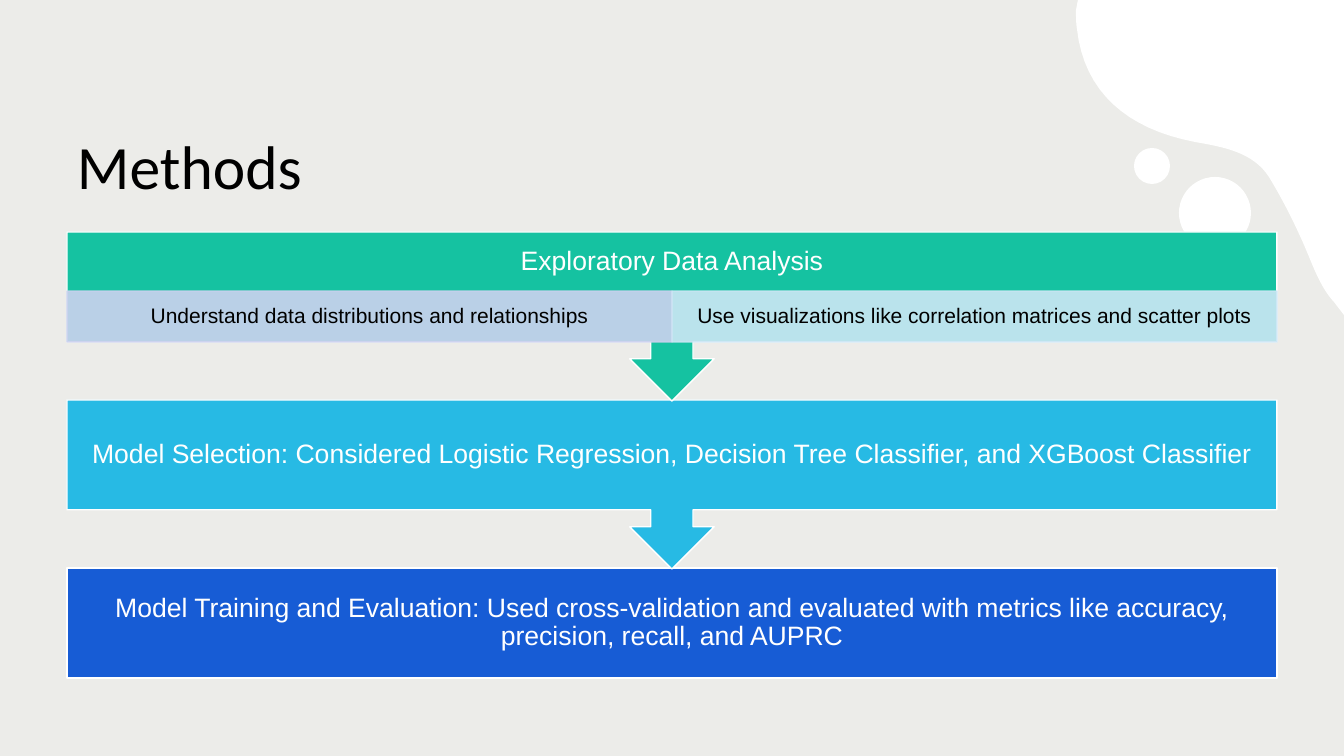
"""Build the Methods slide: three stacked process steps on a grey background."""
import pptx
import pptx.dml.color
import pptx.enum.shapes
import pptx.enum.text
import pptx.oxml.ns
import pptx.oxml.xmlchemy
import pptx.util

RGBColor = pptx.dml.color.RGBColor
MSO_SHAPE = pptx.enum.shapes.MSO_SHAPE
PP_ALIGN = pptx.enum.text.PP_ALIGN
MSO_ANCHOR = pptx.enum.text.MSO_ANCHOR

EMU_PER_PX = 914400 / 100.8
SLIDE_WIDTH, SLIDE_HEIGHT = 1344, 756

WHITE = RGBColor(0xFF, 0xFF, 0xFF)
BLACK = RGBColor(0x00, 0x00, 0x00)
GREY = RGBColor(0xEC, 0xEC, 0xE9)
GREEN = RGBColor(0x15, 0xC2, 0xA1)
SKY = RGBColor(0x27, 0xBA, 0xE4)
BLUE = RGBColor(0x17, 0x5C, 0xD5)
LAVENDER = RGBColor(0xCC, 0xD2, 0xEF)
ICE = RGBColor(0xCD, 0xE7, 0xF5)

LEFT, WIDTH = 67, 1210
STEP_TOP, STEP_PITCH = 232, 168
BOX_HEIGHT, CALLOUT_HEIGHT = 110, 169
DETAIL_HEIGHT = 51
STEP_INSETS = (15, 15, 15, 15)
HEADER_INSETS = (15, 15, 15, 15 + DETAIL_HEIGHT)
DETAIL_INSETS = (12, 2, 12, 2)

STEPS = [
    ("Exploratory Data Analysis", GREEN, HEADER_INSETS),
    ("Model Selection: Considered Logistic Regression, Decision Tree Classifier, "
     "and XGBoost Classifier", SKY, STEP_INSETS),
    ("Model Training and Evaluation: Used cross-validation and evaluated with metrics "
     "like accuracy, precision, recall, and AUPRC", BLUE, STEP_INSETS),
]
DETAILS = [
    ("Understand data distributions and relationships", LAVENDER),
    ("Use visualizations like correlation matrices and scatter plots", ICE),
]
BUBBLES = [(1134, 148, 36), (1179, 177, 72)]
BLOB_START = (1076, 10)
BLOB_CURVES = [
    ((1076, 16), (1076, 23), (1077, 29)),
    ((1084, 92), (1127, 129), (1195, 142)),
    ((1223, 147), (1253, 152), (1269, 177)),
    ((1286, 205), (1300, 234), (1312, 264)),
    ((1318, 278), (1324, 291), (1334, 302)),
]


def px(length):
    """Turn pixels into EMU."""
    return pptx.util.Emu(round(length * EMU_PER_PX))


def style(shape, fill, line=None):
    """Give a shape a flat fill and an optional one-point outline."""
    shape.shadow.inherit = False
    shape.fill.solid()
    shape.fill.fore_color.rgb = fill
    if line is None:
        shape.line.fill.background()
    else:
        shape.line.color.rgb = line
        shape.line.width = pptx.util.Pt(1)


def set_opacity(shape, percent):
    """Make the fill and outline colours of a shape partly transparent."""
    for color in shape._element.spPr.iter(pptx.oxml.ns.qn("a:srgbClr")):
        alpha = pptx.oxml.xmlchemy.OxmlElement("a:alpha")
        alpha.set("val", str(percent * 1000))
        color.append(alpha)


def write(shape, text, size, font, color, align, anchor, insets):
    """Write one paragraph into a shape."""
    frame = shape.text_frame
    frame.word_wrap = True
    frame.vertical_anchor = anchor
    (frame.margin_left, frame.margin_top,
     frame.margin_right, frame.margin_bottom) = map(px, insets)
    paragraph = frame.paragraphs[0]
    paragraph.alignment = align
    paragraph.line_spacing = 0.9
    run = paragraph.add_run()
    run.text = text
    run.font.size = pptx.util.Pt(size)
    run.font.name = font
    run.font.color.rgb = color


def add_shape(slide, kind, left, top, width, height, fill, line=None):
    """Add a styled preset shape."""
    shape = slide.shapes.add_shape(kind, px(left), px(top), px(width), px(height))
    style(shape, fill, line)
    return shape


def curve_points(start, curves, pieces=16):
    """Sample a chain of cubic curves into points."""
    points = []
    for first, second, end in curves:
        for piece in range(1, pieces + 1):
            t = piece / pieces
            u = 1 - t
            points.append(tuple(
                u**3 * a + 3 * u**2 * t * b + 3 * u * t**2 * c + t**3 * d
                for a, b, c, d in zip(start, first, second, end)))
        start = end
    return points


def add_corner_blob(slide):
    """Add the white blob in the top right corner and its bubbles."""
    builder = slide.shapes.build_freeform(px(SLIDE_WIDTH), 0)
    outline = [(1078, 0), BLOB_START, *curve_points(BLOB_START, BLOB_CURVES),
               (SLIDE_WIDTH, 315)]
    builder.add_line_segments([(px(x), px(y)) for x, y in outline], close=True)
    style(builder.convert_to_shape(), WHITE)
    for left, top, size in BUBBLES:
        add_shape(slide, MSO_SHAPE.OVAL, left, top, size, size, WHITE)


def add_title(slide, text):
    """Add the slide title."""
    box = slide.shapes.add_textbox(px(LEFT), px(61), px(WIDTH), px(147))
    write(box, text, 44, "Calibri", BLACK, PP_ALIGN.LEFT, MSO_ANCHOR.BOTTOM, (10, 5, 10, 5))


def add_step(slide, index):
    """Add one step, with an arrow to the next step if there is one."""
    text, color, insets = STEPS[index]
    is_last = index == len(STEPS) - 1
    kind = MSO_SHAPE.RECTANGLE if is_last else MSO_SHAPE.DOWN_ARROW_CALLOUT
    height = BOX_HEIGHT if is_last else CALLOUT_HEIGHT
    top = STEP_TOP + index * STEP_PITCH
    shape = add_shape(slide, kind, LEFT, top, WIDTH, height, color, WHITE)
    write(shape, text, 19, "Arial", WHITE, PP_ALIGN.CENTER, MSO_ANCHOR.MIDDLE, insets)


def add_details(slide):
    """Add the detail cells along the bottom of the first step."""
    width = WIDTH // len(DETAILS)
    top = STEP_TOP + BOX_HEIGHT - DETAIL_HEIGHT
    for index, (text, color) in enumerate(DETAILS):
        cell = add_shape(slide, MSO_SHAPE.RECTANGLE, LEFT + index * width, top,
                         width, DETAIL_HEIGHT, color, color)
        set_opacity(cell, 90)
        write(cell, text, 15, "Arial", BLACK, PP_ALIGN.CENTER, MSO_ANCHOR.MIDDLE,
              DETAIL_INSETS)


def main():
    """Build and save the presentation."""
    presentation = pptx.Presentation()
    presentation.slide_width = px(SLIDE_WIDTH)
    presentation.slide_height = px(SLIDE_HEIGHT)
    slide = presentation.slides.add_slide(presentation.slide_layouts[6])
    slide.background.fill.solid()
    slide.background.fill.fore_color.rgb = GREY
    add_corner_blob(slide)
    add_title(slide, "Methods")
    for index in reversed(range(len(STEPS))):
        add_step(slide, index)
    add_details(slide)
    presentation.save("out.pptx")


if __name__ == "__main__":
    main()
